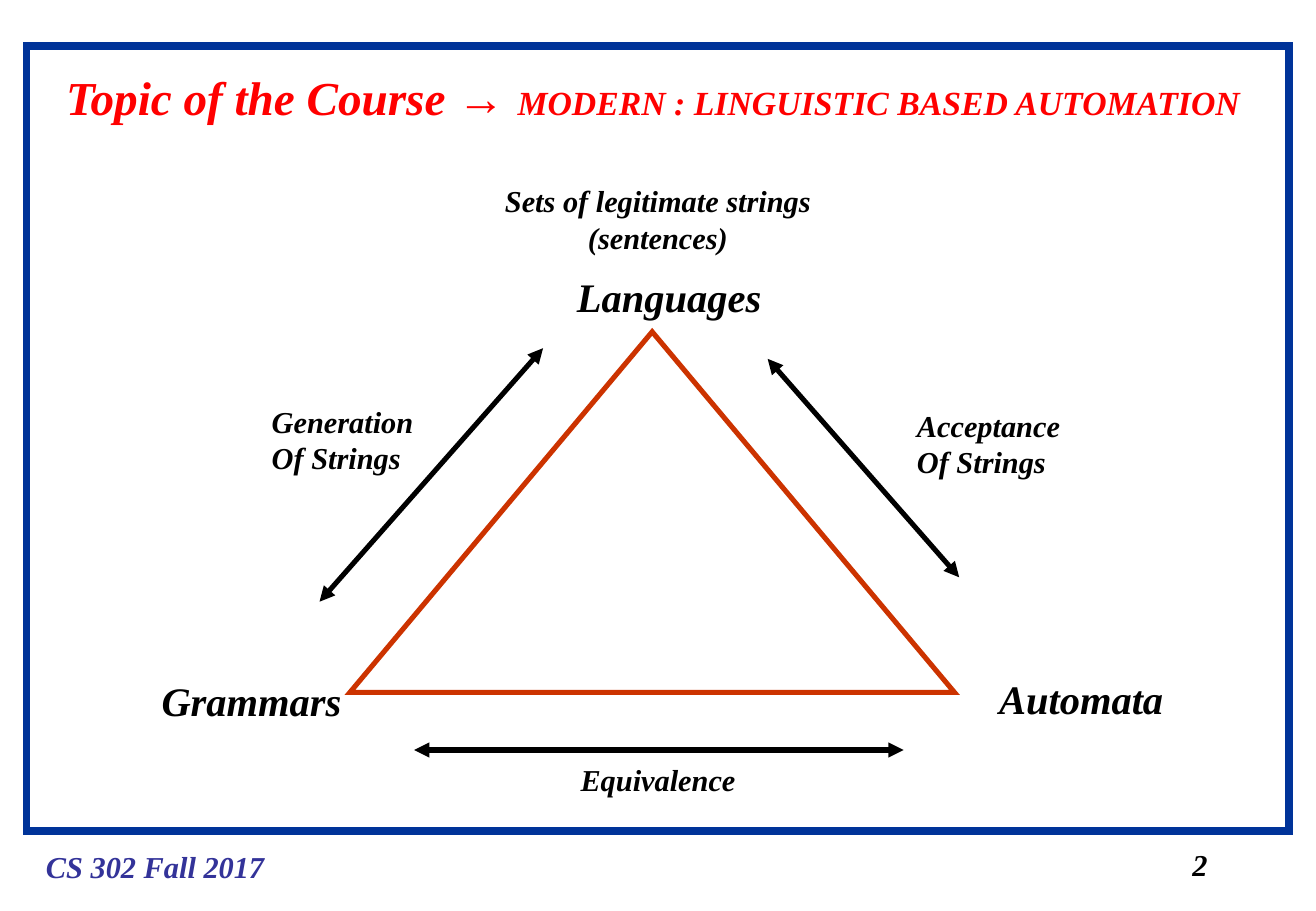
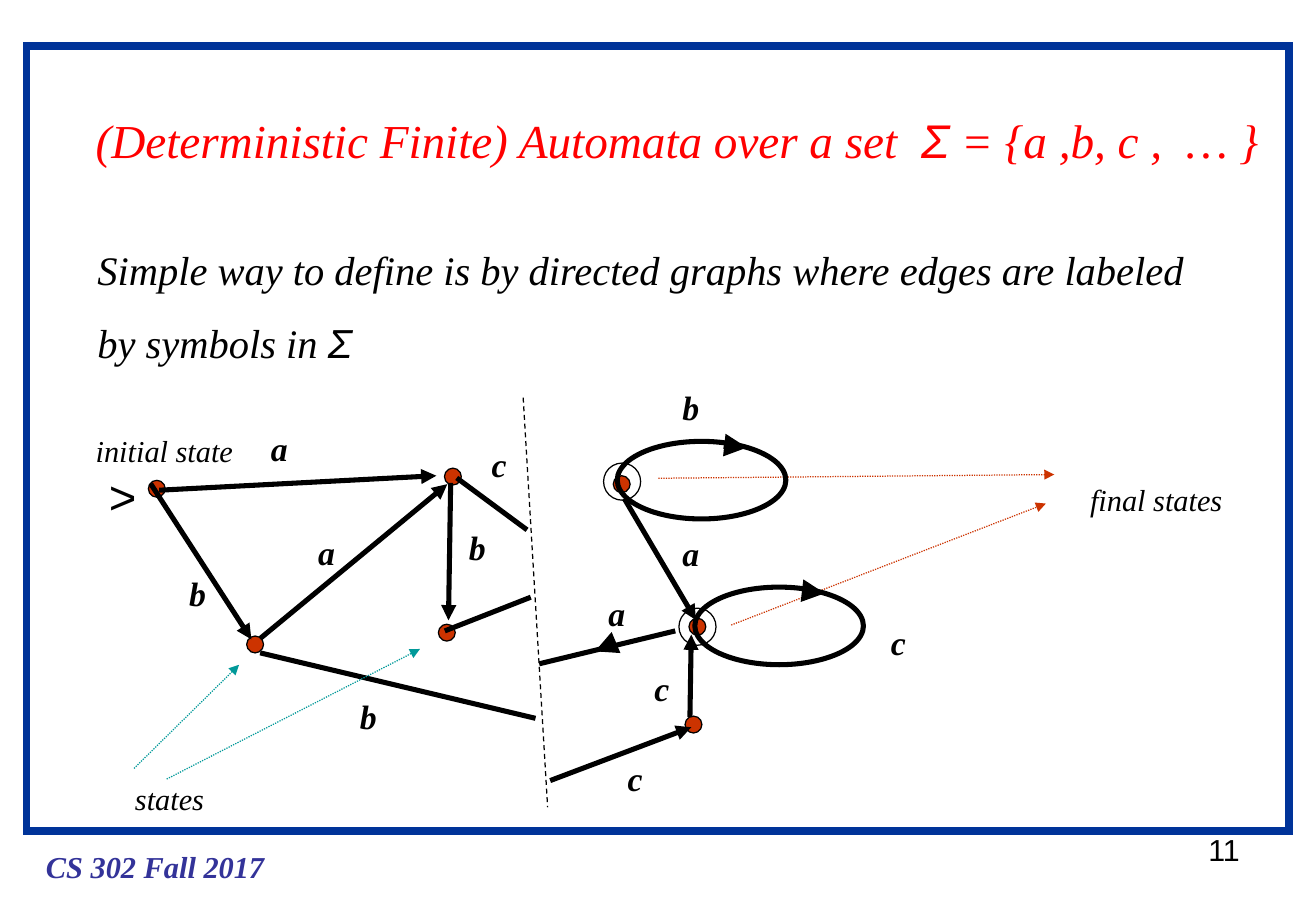
from collections import namedtuple

from lxml.etree import SubElement
from pptx import Presentation
from pptx.dml.color import RGBColor
from pptx.enum.dml import MSO_LINE as Dash
from pptx.enum.shapes import MSO_CONNECTOR as Connector, MSO_SHAPE as Shape
from pptx.enum.text import MSO_AUTO_SIZE as AutoSize, PP_ALIGN as Align
from pptx.oxml.ns import qn
from pptx.util import Pt

# Shared colours and fonts
BLACK = RGBColor(0x00, 0x00, 0x00)
FRAME_BLUE = RGBColor(0x00, 0x33, 0x99)
FOOTER_BLUE = RGBColor(0x33, 0x33, 0x99)
TITLE_RED = RGBColor(0xFF, 0x00, 0x00)
RUST = RGBColor(0xCC, 0x33, 0x00)
TEAL = RGBColor(0x00, 0x99, 0x99)
SERIF, SANS = "Times New Roman", "Arial"

# Shared text styles
ITALIC = {"name": SERIF, "size": Pt(18), "italic": True}
BOLD = {**ITALIC, "bold": True}
CORNER = {**BOLD, "size": Pt(24)}
EDGE_LABEL = {**BOLD, "size": Pt(20)}
TITLE = {**ITALIC, "size": Pt(28)}
BODY = {**ITALIC, "size": Pt(24)}
PLAIN = {"name": SANS, "size": Pt(18)}

Box = namedtuple("Box", "left top width height")
FRAME = Box(15.8, 27.4, 748.8, 465.1)
FOOTER = Box(20.2, 499, 144, 28.8)
TRIANGLE_AREA = Box(88.3, 104.5, 612, 372)
GRAPH_AREA = Box(50.3, 226.5, 683, 262)


def inside(area, left, top, width, height):
    return Box(area.left + left, area.top + top, width, height)


def add_text(slide, box, paragraphs, color=BLACK, wrap=False,
             align=Align.LEFT, spacing=None):
    """Each paragraph is a list of (text, style) runs."""
    frame = slide.shapes.add_textbox(*map(Pt, box)).text_frame
    frame.word_wrap = wrap
    frame.auto_size = AutoSize.SHAPE_TO_FIT_TEXT
    for index, runs in enumerate(paragraphs):
        paragraph = frame.add_paragraph() if index else frame.paragraphs[0]
        paragraph.alignment = align
        paragraph.line_spacing = spacing
        for text, style in runs:
            run = paragraph.add_run()
            run.text = text
            for key, value in style.items():
                setattr(run.font, key, value)
            run.font.color.rgb = color


def add_outline(slide, kind, box, color, weight, fill=None):
    shape = slide.shapes.add_shape(kind, *map(Pt, box))
    shape.shadow.inherit = False
    if fill is None:
        shape.fill.background()
    else:
        shape.fill.solid()
        shape.fill.fore_color.rgb = fill
    shape.line.color.rgb = color
    shape.line.width = Pt(weight)
    # Sharp corners
    SubElement(shape.line._get_or_add_ln(), qn("a:miter"), lim="800000")


def add_line(slide, area, ends, color=BLACK, weight=3, dash=None, arrows=()):
    """Arrows names the ends with a head: headEnd is the start, tailEnd the end."""
    x1, y1, x2, y2 = ends
    line = slide.shapes.add_connector(
        Connector.STRAIGHT, Pt(area.left + x1), Pt(area.top + y1),
        Pt(area.left + x2), Pt(area.top + y2))
    line.line.color.rgb = color
    line.line.width = Pt(weight)
    if dash is not None:
        line.line.dash_style = dash
    for end in arrows:
        SubElement(line.line._get_or_add_ln(), qn(f"a:{end}"), type="triangle")
    SubElement(line._element.spPr, qn("a:effectLst"))


def add_circle(slide, area, center, size, fill=None):
    x, y = center
    add_outline(slide, Shape.OVAL,
                inside(area, x - size / 2, y - size / 2, size, size),
                BLACK, 0.75, fill)


def add_base(deck, number, number_box, number_style, title, title_box):
    """Frame, footer, page number and title."""
    slide = deck.slides.add_slide(deck.slide_layouts[6])
    add_outline(slide, Shape.RECTANGLE, FRAME, FRAME_BLUE, 4.5)
    add_text(slide, FOOTER, [[("CS 302 Fall 2017", BOLD)]], FOOTER_BLUE)
    add_text(slide, number_box, [[(number, number_style)]])
    add_text(slide, title_box, [title], TITLE_RED)
    return slide


def draw_triangle(slide, area):
    add_outline(slide, Shape.ISOSCELES_TRIANGLE,
                inside(area, 119.2, 92.2, 358.6, 213.8), RUST, 3)

    # Corners
    for text, left, top, width in (("Languages", 246.8, 53.4, 123.8),
                                   ("Automata", 497.2, 291.3, 111.6),
                                   ("Grammars", 0.4, 292.4, 121)):
        add_text(slide, inside(area, left, top, width, 36), [[(text, CORNER)]])

    # Two-way arrows along the sides
    for ends in ((101.2, 252.2, 233.8, 101.9),
                 (367, 108.2, 480.6, 237.7),
                 (157.3, 340.1, 447.6, 340.1)):
        add_line(slide, area, ends, arrows=("headEnd", "tailEnd"))

    # Notes beside the sides
    for lines, box, wrap, align in (
            (("Generation", "Of Strings"), (65.8, 130.7, 100, 50.4), False, Align.LEFT),
            (("Acceptance", "Of Strings"), (448.4, 133.3, 128.9, 50.4), True, Align.LEFT),
            (("Sets of legitimate strings (sentences)",),
             (181.3, 0.2, 241.2, 50.4), True, Align.CENTER),
            (("Equivalence",), (248.9, 343.1, 106.6, 28.8), False, Align.LEFT)):
        add_text(slide, inside(area, *box), [[(line, BOLD)] for line in lines],
                 wrap=wrap, align=align)


def draw_automaton(slide, area):
    # Pointers to the final states
    for ends in ((340.2, 57, 575, 54.8), (383.4, 144, 570, 72)):
        add_line(slide, area, ends, RUST, 0.75, Dash.ROUND_DOT, ("tailEnd",))

    # States
    final_states = (318.4, 60.5), (363.3, 145)
    other_states = ((42.7, 63.2), (214.7, 148.5), (101, 155.5), (361, 203), (218.3, 56))
    for center in final_states + other_states:
        add_circle(slide, area, center, 10, RUST)
    for center in ((318.7, 59), (363.4, 145)):
        add_circle(slide, area, center, 22)

    # Loops on the final states
    for left, top in ((315.8, 35.1), (361.8, 121.5)):
        add_outline(slide, Shape.OVAL, inside(area, left, top, 100, 46), BLACK, 3)

    # Edges that reach a state
    for ends in ((44.1, 64.1, 208.5, 55.5), (104, 152, 215, 60.5),
                 (39.1, 60.3, 98.8, 152.5), (276, 236.2, 359.7, 204.6),
                 (217, 59.7, 215.7, 141.2), (320, 69.1, 362.4, 141),
                 (358.9, 198.6, 359.7, 149.7)):
        add_line(slide, area, ends, arrows=("tailEnd",))

    # Edges cut off at the divider
    for ends in ((213.5, 147.5, 264.5, 127.5), (220.6, 56.8, 262.3, 87.6),
                 (104, 160.5, 267.3, 199.3), (350.2, 147.5, 269.5, 167)):
        add_line(slide, area, ends)
    add_line(slide, area, (260, 9.2, 274.5, 252), weight=0.75, dash=Dash.DASH)

    # Direction marks on the loops and the outgoing edge
    for ends in ((379, 37.3, 392.7, 38.8), (426, 123.7, 438.8, 125.2),
                 (311.2, 156, 302.6, 159.6)):
        add_line(slide, area, ends, weight=4.5, arrows=("tailEnd",))

    # Edge symbols
    symbols = {"a": ((103.3, 23.8), (131.3, 85.2), (303.5, 121.2), (347.4, 85.8)),
               "b": ((54.8, 109.5), (156, 182.2), (220.7, 82.2), (347.4, -0.6)),
               "c": ((234.2, 33.2), (314.8, 219), (471, 138.3), (330.7, 165.7))}
    for symbol, places in symbols.items():
        width = 23 if symbol == "c" else 24.5
        for left, top in places:
            add_text(slide, inside(area, left, top, width, 31.7),
                     [[(symbol, EDGE_LABEL)]])

    # Pointers to ordinary states
    for ends in ((29.2, 229, 91.5, 167.6), (48.6, 235.3, 198.8, 158.2)):
        add_line(slide, area, ends, TEAL, 0.75, Dash.ROUND_DOT, ("tailEnd",))

    # Names of the kinds of state
    for text, style, box in (
            (">", {**PLAIN, "size": Pt(28)}, (7.2, 47.1, 30.2, 41)),
            ("initial state", ITALIC, (-0.6, 26.3, 95.8, 28.8)),
            ("final states", ITALIC, (589.1, 55.3, 92.9, 28.8)),
            ("states", ITALIC, (22.7, 232.4, 55.4, 28.8))):
        add_text(slide, inside(area, *box), [[(text, style)]])


def build_topic_slide(deck):
    heading = {**TITLE, "bold": True}
    title = [("Topic of the Course ", heading),
             ("→ ", {**heading, "name": SANS}),
             ("MODERN : LINGUISTIC BASED AUTOMATION", EDGE_LABEL)]
    slide = add_base(deck, "2", Box(700.1, 497.9, 23, 28.8), BOLD,
                     title, Box(32.2, 37.1, 720, 41))
    draw_triangle(slide, TRIANGLE_AREA)


def build_automata_slide(deck):
    title = [("(Deterministic Finite) Automata over a set  ", TITLE),
             ("Σ", {**TITLE, "name": SANS}),
             (" = {a ,b, c ,  … }", TITLE)]
    slide = add_base(deck, "11", Box(709.5, 489.2, 34.6, 28.8), PLAIN,
                     title, Box(49.7, 62.3, 711.4, 41))
    definition = [("Simple way to define is by directed graphs where edges "
                   "are labeled by symbols in ", BODY),
                  ("Σ", {**BODY, "name": SANS})]
    add_text(slide, Box(50.7, 127.4, 662.4, 93.6), [definition],
             wrap=True, spacing=1.5)
    draw_automaton(slide, GRAPH_AREA)


def main():
    deck = Presentation()
    deck.slide_width = Pt(780.48)
    deck.slide_height = Pt(540)
    build_topic_slide(deck)
    build_automata_slide(deck)
    deck.save("out.pptx")


if __name__ == "__main__":
    main()
